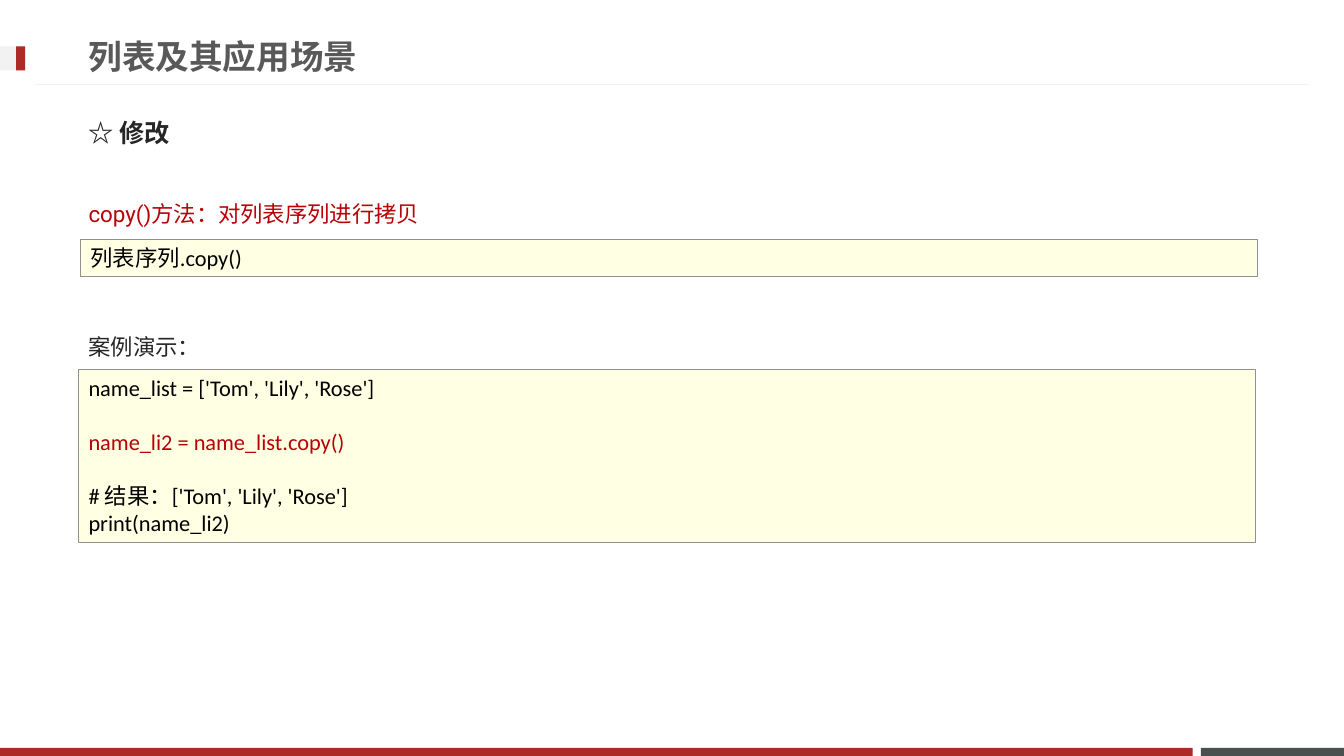
import pptx
import pptx.dml.color
import pptx.enum.shapes
import pptx.enum.text
import pptx.oxml
import pptx.util
from pptx.util import Inches

RED, ACCENT, PALE = "AD2B26", "B60206", "F2F2F2"
BLACK, DARK, GREY = "000000", "262626", "595959"


def rgb(value):
    return pptx.dml.color.RGBColor.from_string(value)


class SlideBuilder:
    """Holds the code style and the current slide, and adds elements to it."""

    code_font, code_size, code_line = "Calibri", 16, 19.5
    code_fill, code_border = "FFFFE4", "919191"

    def __init__(self, slide):
        self.slide = slide

    def bar(self, left, top, width, height, fill):
        shape = self.slide.shapes.add_shape(
            pptx.enum.shapes.MSO_SHAPE.RECTANGLE,
            Inches(left), Inches(top), Inches(width), Inches(height))
        shape.shadow.inherit = False
        shape.fill.solid()
        shape.fill.fore_color.rgb = rgb(fill)
        shape.line.fill.background()
        return shape

    def rule(self, left, right, y, color):
        line = self.slide.shapes.add_connector(
            pptx.enum.shapes.MSO_CONNECTOR.STRAIGHT,
            Inches(left), Inches(y), Inches(right), Inches(y))
        line.line.color.rgb = rgb(color)
        line.line.width = pptx.util.Pt(0.75)
        properties = line._element.spPr
        properties.append(pptx.oxml.parse_xml(
            '<a:effectLst xmlns:a="http://schemas.openxmlformats.org/drawingml/2006/main"/>'))

    def style(self, paragraph, font, size, color, bold=False):
        paragraph.font.name = font
        paragraph.font.size = pptx.util.Pt(size)
        paragraph.font.color.rgb = rgb(color)
        paragraph.font.bold = bold

    def text(self, content, top, width, height, font, size, color,
             bold=False, middle=False, spacing=1, before=0):
        box = self.slide.shapes.add_textbox(
            Inches(0.78), Inches(top), Inches(width), Inches(height))
        frame = box.text_frame
        frame.word_wrap = True
        anchors = pptx.enum.text.MSO_ANCHOR
        frame.vertical_anchor = anchors.MIDDLE if middle else anchors.TOP
        paragraph = frame.paragraphs[0]
        paragraph.text = content
        paragraph.line_spacing = spacing
        paragraph.space_before = pptx.util.Pt(before)
        self.style(paragraph, font, size, color, bold)

    def code(self, left, top, height, lines):
        box = self.bar(left, top, 11.67, height, self.code_fill)
        box.line.color.rgb = rgb(self.code_border)
        box.line.width = pptx.util.Pt(0.25)
        frame = box.text_frame
        frame.word_wrap = True
        frame.auto_size = pptx.enum.text.MSO_AUTO_SIZE.SHAPE_TO_FIT_TEXT
        frame.vertical_anchor = pptx.enum.text.MSO_ANCHOR.TOP
        for index, (content, color, gap_lines) in enumerate(lines):
            paragraph = frame.add_paragraph() if index else frame.paragraphs[0]
            paragraph.text = content
            paragraph.alignment = pptx.enum.text.PP_ALIGN.LEFT
            paragraph.space_before = pptx.util.Pt(gap_lines * self.code_line)
            self.style(paragraph, self.code_font, self.code_size, color)


presentation = pptx.Presentation()
presentation.slide_width = Inches(13.33)
presentation.slide_height = Inches(7.5)
builder = SlideBuilder(presentation.slides.add_slide(presentation.slide_layouts[6]))

builder.bar(11.91, 7.42, 1.42, 0.08, "49504F")
builder.bar(0, 7.42, 11.83, 0.08, RED)
builder.rule(0.35, 12.98, 0.84, PALE)
builder.bar(0, 0.46, 0.25, 0.24, PALE)
builder.bar(0.16, 0.46, 0.09, 0.24, RED)

builder.text("列表及其应用场景", 0.27, 9.59, 0.57, "Lato", 24, GREY, bold=True, middle=True)
builder.text("☆ 修改", 1.03, 11.76, 0.57, "Noto Sans CJK JP", 18, DARK, bold=True, middle=True)

for label, top, color in (("copy()方法：对列表序列进行拷贝", 1.8, ACCENT),
                          ("案例演示：", 3.12, DARK)):
    builder.text(label, top, 11.76, 0.5, "Roboto", 16, color, spacing=1.5, before=3.2)

builder.code(0.8, 2.37, 0.37, [("列表序列.copy()", BLACK, 0)])
builder.code(0.78, 3.66, 1.72, [
    ("name_list = ['Tom', 'Lily', 'Rose']", BLACK, 0),
    ("name_li2 = name_list.copy()", ACCENT, 1),
    ("# 结果：['Tom', 'Lily', 'Rose']", BLACK, 1),
    ("print(name_li2)", BLACK, 0),
])

presentation.save("out.pptx")
